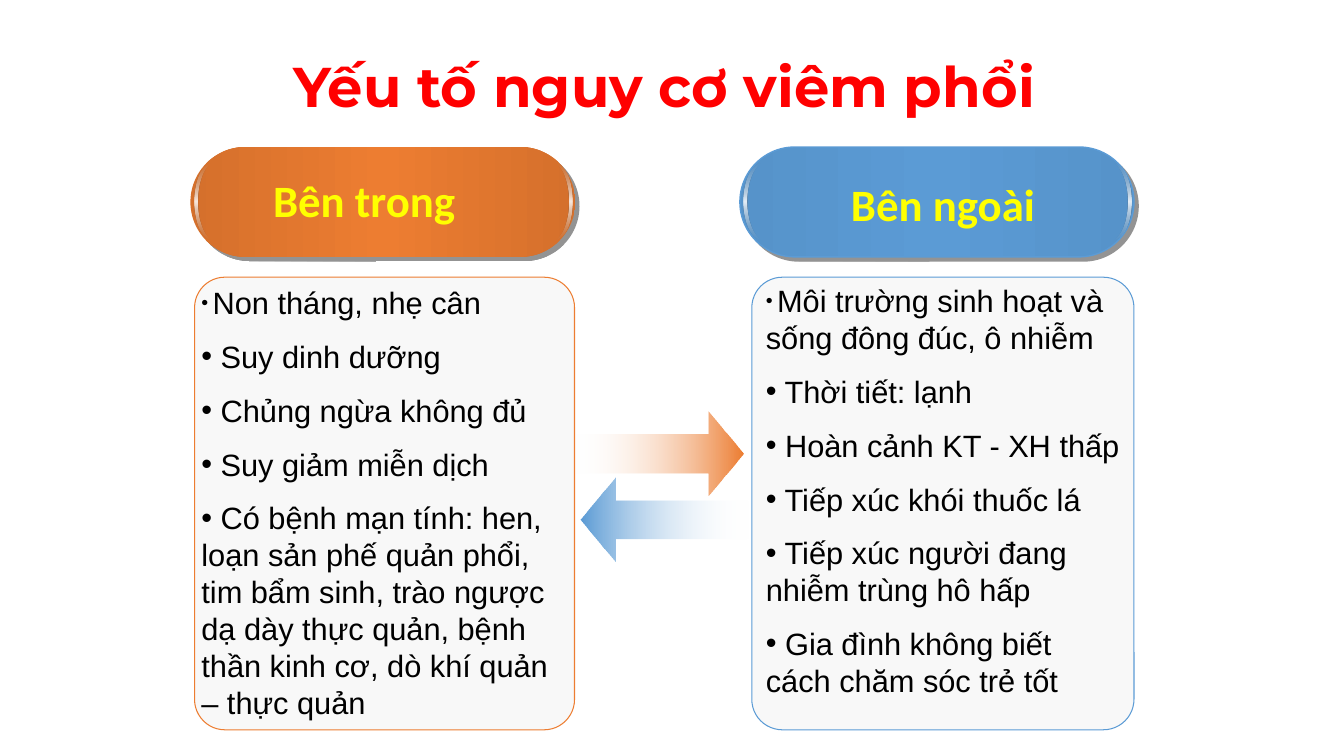
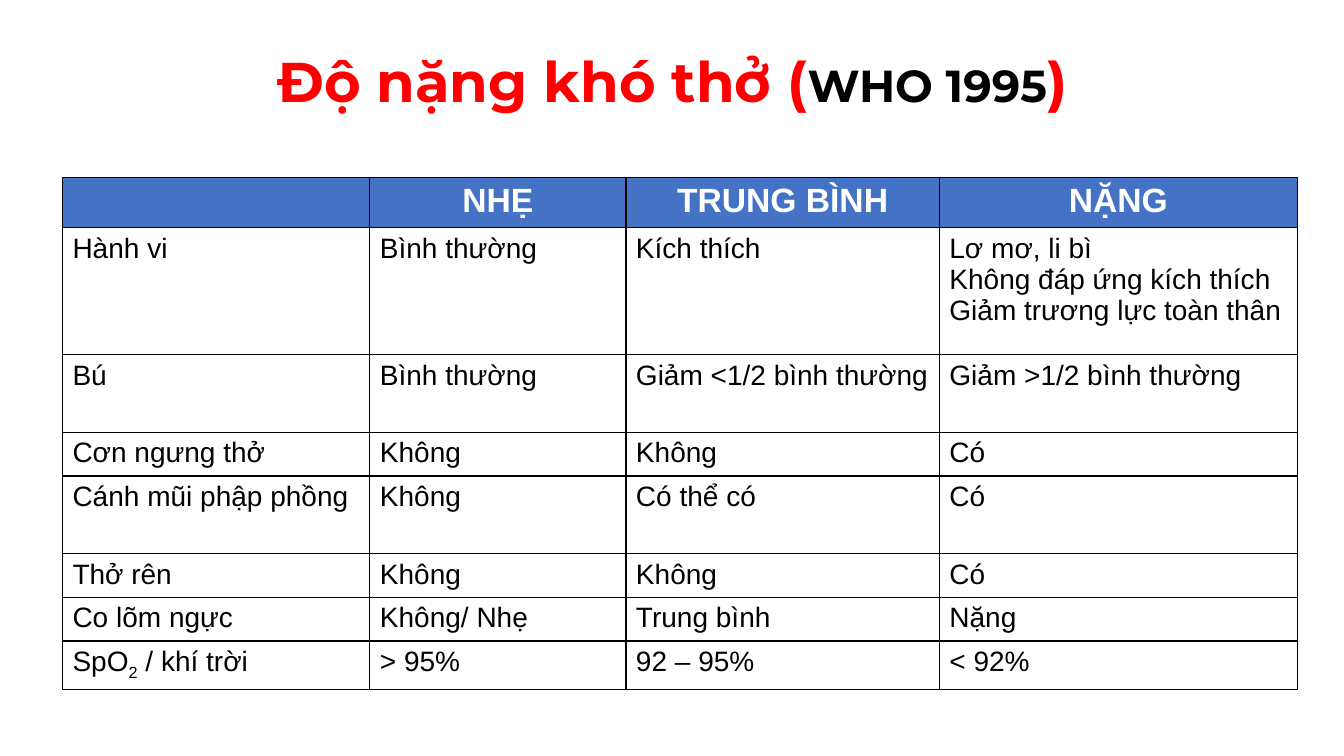
"""Build two slides on pneumonia risk factors and the severity of dyspnoea."""
from dataclasses import dataclass
from typing import Optional, Sequence, Union

from lxml import etree
from pptx import Presentation
from pptx.dml.color import RGBColor
from pptx.enum import shapes, text
from pptx.oxml import ns
from pptx.slide import Slide
from pptx.util import Pt

RED = RGBColor(0xFF, 0x00, 0x00)
BLACK = RGBColor(0x00, 0x00, 0x00)
WHITE = RGBColor(0xFF, 0xFF, 0xFF)
YELLOW = RGBColor(0xFF, 0xFF, 0x00)
ORANGE = RGBColor(0xED, 0x7D, 0x31)
DARK_ORANGE = RGBColor(0xD5, 0x70, 0x2C)
BLUE = RGBColor(0x5B, 0x9B, 0xD5)
DARK_BLUE = RGBColor(0x56, 0x93, 0xCA)
PANEL_GREY = RGBColor(0xF8, 0xF8, 0xF8)
GLOSS_GREY = RGBColor(0xB3, 0xB3, 0xB3)
SHADOW = RGBColor(0x29, 0x29, 0x29)
HEADER_BLUE = RGBColor(0x44, 0x72, 0xC4)

TITLE_FONT, LABEL_FONT, BODY_FONT = "Montserrat", "Calibri", "Arial"
LEFT, CENTER = text.PP_ALIGN.LEFT, text.PP_ALIGN.CENTER
PANEL_TOP, PANEL_HEIGHT = 198, 323.3
PILL_TOP, PILL_HEIGHT = 105, 78.5
GLOSS_WIDTH, GLOSS_HEIGHT = 12.2, 54.7


@dataclass(frozen=True)
class Box:
    left: float
    top: float
    width: float
    height: float

    def lengths(self) -> tuple:
        return Pt(self.left), Pt(self.top), Pt(self.width), Pt(self.height)


@dataclass(frozen=True)
class TextRun:
    text: str
    size: float
    color: RGBColor = BLACK
    bold: bool = False
    font: str = BODY_FONT
    baseline: int = 0


@dataclass(frozen=True)
class Stop:
    position: int
    color: RGBColor
    opacity: int = 100


@dataclass(frozen=True)
class RiskColumn:
    label: str
    color: RGBColor
    edge: RGBColor
    outline: Optional[RGBColor]
    panel: Box
    pill: Box
    label_box: Box
    text_box: Box
    factors: Sequence[str]


@dataclass(frozen=True)
class Arrow:
    kind: shapes.MSO_SHAPE
    box: Box
    stops: Sequence[Stop]


Cell = Union[str, Sequence[TextRun]]

COLUMNS = (
    RiskColumn(
        "Bên trong", ORANGE, DARK_ORANGE, None,
        Box(139, PANEL_TOP, 271.4, PANEL_HEIGHT),
        Box(136, PILL_TOP, 275, PILL_HEIGHT),
        Box(172, 119.5, 176.4, 46),
        Box(136.8, 199.4, 268.6, 322.6),
        ("Non tháng, nhẹ cân", "Suy dinh dưỡng", "Chủng ngừa không đủ",
         "Suy giảm miễn dịch",
         "Có bệnh mạn tính: hen,\nloạn sản phế quản phổi, tim bẩm sinh, trào ngược "
         "dạ dày thực quản, bệnh thần kinh cơ, dò khí quản – thực quản")),
    RiskColumn(
        "Bên ngoài", BLUE, DARK_BLUE, BLUE,
        Box(537, PANEL_TOP, 273, PANEL_HEIGHT),
        Box(528.5, PILL_TOP, 281.5, PILL_HEIGHT),
        Box(585.4, 123, 176.4, 46),
        Box(540, PANEL_TOP, 268.6, PANEL_HEIGHT),
        ("Môi trường sinh hoạt và sống đông đúc, ô nhiễm", "Thời tiết: lạnh",
         "Hoàn cảnh KT - XH thấp", "Tiếp xúc khói thuốc lá",
         "Tiếp xúc người đang nhiễm trùng hô hấp",
         "Gia đình không biết cách chăm sóc trẻ tốt")),
)
ARROWS = (
    Arrow(shapes.MSO_SHAPE.RIGHT_ARROW, Box(409.7, 293.8, 121, 59.8),
          (Stop(0, WHITE, 0), Stop(100, ORANGE))),
    Arrow(shapes.MSO_SHAPE.LEFT_ARROW, Box(414.7, 341.3, 120.2, 59.8),
          (Stop(0, BLUE), Stop(100, WHITE, 0))),
)
GLOSS_STOPS = (Stop(0, GLOSS_GREY, 0), Stop(50, WHITE, 84), Stop(100, GLOSS_GREY, 0))

COLUMN_WIDTHS = (219.6, 182.9, 223.9, 255.6)
ROW_HEIGHTS = (36, 90.7, 55.4, 31, 55.4, 31, 31, 31)
HEADERS = ("", "NHẸ", "TRUNG BÌNH", "NẶNG")
SPO2 = (TextRun("SpO", 20), TextRun("2", 20, baseline=-25), TextRun(" / khí trời", 20))
SEVERITY: Sequence[Sequence[Cell]] = (
    ("Hành vi", "Bình thường", "Kích thích",
     "Lơ mơ, li bì\nKhông đáp ứng kích thích\nGiảm trương lực toàn thân"),
    ("Bú", "Bình thường", "Giảm <1/2 bình thường", "Giảm >1/2 bình thường"),
    ("Cơn ngưng thở", "Không", "Không", "Có"),
    ("Cánh mũi phập phồng", "Không", "Có thể có", "Có"),
    ("Thở rên", "Không", "Không", "Có"),
    ("Co lõm ngực", "Không/ Nhẹ", "Trung bình", "Nặng"),
    (SPO2, "> 95%", "92 – 95%", "< 92%"),
)


def add_element(parent, tag: str, **attributes):
    return etree.SubElement(parent, ns.qn(tag), attributes)


def add_color(parent, color: RGBColor, opacity: int = 100) -> None:
    element = add_element(parent, "a:srgbClr", val=str(color))
    if opacity < 100:
        add_element(element, "a:alpha", val=str(opacity * 1000))


def write_runs(paragraph, runs: Sequence[TextRun], alignment=LEFT) -> None:
    paragraph.alignment = alignment
    for item in runs:
        for index, line in enumerate(item.text.split("\n")):
            if index:
                paragraph.add_line_break()
            run = paragraph.add_run()
            run.text = line
            run.font.name = item.font
            run.font.size = Pt(item.size)
            run.font.bold = item.bold
            run.font.color.rgb = item.color
            if item.baseline:
                run._r.get_or_add_rPr().set("baseline", str(item.baseline * 1000))


def add_text_frame(slide: Slide, box: Box):
    frame = slide.shapes.add_textbox(*box.lengths()).text_frame
    frame.word_wrap = True
    return frame


def add_title(slide: Slide, left: float, top: float, runs: Sequence[TextRun]) -> None:
    frame = add_text_frame(slide, Box(left, top, 828, 104.4))
    frame.vertical_anchor = text.MSO_ANCHOR.MIDDLE
    write_runs(frame.paragraphs[0], runs, CENTER)
    frame.paragraphs[0].line_spacing = 0.9


def title_run(words: str, size: float = 40, color: RGBColor = RED) -> TextRun:
    return TextRun(words, size, color, True, TITLE_FONT)


def add_preset(slide: Slide, kind: shapes.MSO_SHAPE, box: Box, adjustments: Sequence[float],
               outline: Optional[RGBColor] = None, line_width: float = 0.75):
    shape = slide.shapes.add_shape(kind, *box.lengths())
    shape.shadow.inherit = False
    for index, value in enumerate(adjustments):
        shape.adjustments[index] = value
    if outline is None:
        shape.line.fill.background()
    else:
        shape.line.color.rgb = outline
        shape.line.width = Pt(line_width)
    return shape


def fill_gradient(shape, stops: Sequence[Stop], angle: float = 0) -> None:
    shape.fill.gradient()
    shape.fill.gradient_angle = angle
    stop_list = shape._element.spPr.find(ns.qn("a:gradFill")).find(ns.qn("a:gsLst"))
    for element in list(stop_list):
        stop_list.remove(element)
    for stop in stops:
        element = add_element(stop_list, "a:gs", pos=str(stop.position * 1000))
        add_color(element, stop.color, stop.opacity)


def add_pill(slide: Slide, column: RiskColumn) -> None:
    pill = column.pill
    shape = add_preset(slide, shapes.MSO_SHAPE.ROUNDED_RECTANGLE, pill, [0.5], column.outline, 1)
    fill_gradient(shape, (Stop(0, column.edge), Stop(50, column.color), Stop(100, column.edge)))
    effects = shape._element.spPr.find(ns.qn("a:effectLst"))
    shadow = add_element(effects, "a:outerShdw", blurRad="0", dist=str(Pt(4.2)),
                         dir=str(45 * 60000), algn="ctr", rotWithShape="0")
    add_color(shadow, SHADOW, 50)
    right_gloss = pill.left + pill.width - GLOSS_WIDTH - 2
    for left, rotation in ((right_gloss, 180), (pill.left + 2.9, 0)):
        gloss = add_preset(slide, shapes.MSO_SHAPE.MOON,
                           Box(left, 116.6, GLOSS_WIDTH, GLOSS_HEIGHT), [0.22])
        gloss.rotation = rotation
        fill_gradient(gloss, GLOSS_STOPS, 90)
    frame = add_text_frame(slide, column.label_box)
    write_runs(frame.paragraphs[0], [TextRun(column.label, 32, YELLOW, True, LABEL_FONT)], CENTER)


def add_bullet(paragraph) -> None:
    properties = paragraph._p.get_or_add_pPr()
    properties.set("marL", "0")
    properties.set("indent", "0")
    add_color(add_element(properties, "a:buClr"), BLACK)
    add_element(properties, "a:buFont", typeface=BODY_FONT)
    add_element(properties, "a:buChar", char="•")


def add_risk_column(slide: Slide, column: RiskColumn) -> None:
    panel = add_preset(slide, shapes.MSO_SHAPE.ROUNDED_RECTANGLE, column.panel, [0.08],
                       column.color)
    panel.fill.solid()
    panel.fill.fore_color.rgb = PANEL_GREY
    add_pill(slide, column)
    frame = add_text_frame(slide, column.text_box)
    for index, factor in enumerate(column.factors):
        paragraph = frame.add_paragraph() if index else frame.paragraphs[0]
        add_bullet(paragraph)
        paragraph.line_spacing = Pt(26.4)
        if index:
            paragraph.space_before = Pt(12)
            runs = [TextRun(" " + factor, 22)]
        else:
            runs = [TextRun(" ", 14, bold=True, font=LABEL_FONT), TextRun(factor, 22)]
        write_runs(paragraph, runs)


def add_borders(cell) -> None:
    properties = cell._tc.get_or_add_tcPr()
    for index, side in enumerate(("a:lnL", "a:lnR", "a:lnT", "a:lnB")):
        border = add_element(properties, side, w=str(Pt(1)))
        add_color(add_element(border, "a:solidFill"), BLACK)
        properties.insert(index, border)


def write_cell(cell, content: Cell, header: bool) -> None:
    if header:
        cell.fill.solid()
        cell.fill.fore_color.rgb = HEADER_BLUE
    else:
        cell.fill.background()
    add_borders(cell)
    size, color = (24, WHITE) if header else (20, BLACK)
    if isinstance(content, str):
        lines = [[TextRun(line, size, color, header)] for line in content.split("\n") if line]
    else:
        lines = [content]
    frame = cell.text_frame
    for index, runs in enumerate(lines):
        paragraph = frame.add_paragraph() if index else frame.paragraphs[0]
        write_runs(paragraph, runs, CENTER if header else LEFT)


def add_severity_table(slide: Slide) -> None:
    box = Box(44.6, 126.7, sum(COLUMN_WIDTHS), sum(ROW_HEIGHTS))
    table = slide.shapes.add_table(len(ROW_HEIGHTS), len(COLUMN_WIDTHS), *box.lengths()).table
    table.horz_banding = False
    for column, width in zip(table.columns, COLUMN_WIDTHS):
        column.width = Pt(width)
    for row_index, contents in enumerate((HEADERS, *SEVERITY)):
        table.rows[row_index].height = Pt(ROW_HEIGHTS[row_index])
        for column_index, content in enumerate(contents):
            write_cell(table.cell(row_index, column_index), content, row_index == 0)


def main() -> None:
    presentation = Presentation()
    presentation.slide_width, presentation.slide_height = Pt(960), Pt(540)
    blank = presentation.slide_layouts[6]

    risk_slide = presentation.slides.add_slide(blank)
    add_title(risk_slide, 60.5, 11.5, [title_run("Yếu tố nguy cơ viêm phổi")])
    for column in COLUMNS:
        add_risk_column(risk_slide, column)
    for arrow in ARROWS:
        fill_gradient(add_preset(risk_slide, arrow.kind, arrow.box, [0.465, 0.421]), arrow.stops)

    severity_slide = presentation.slides.add_slide(blank)
    add_title(severity_slide, 66.2, 7.9, [title_run("Độ nặng khó thở ("),
                                          title_run("WHO 1995", 32, BLACK), title_run(")")])
    add_severity_table(severity_slide)
    presentation.save("out.pptx")


if __name__ == "__main__":
    main()
